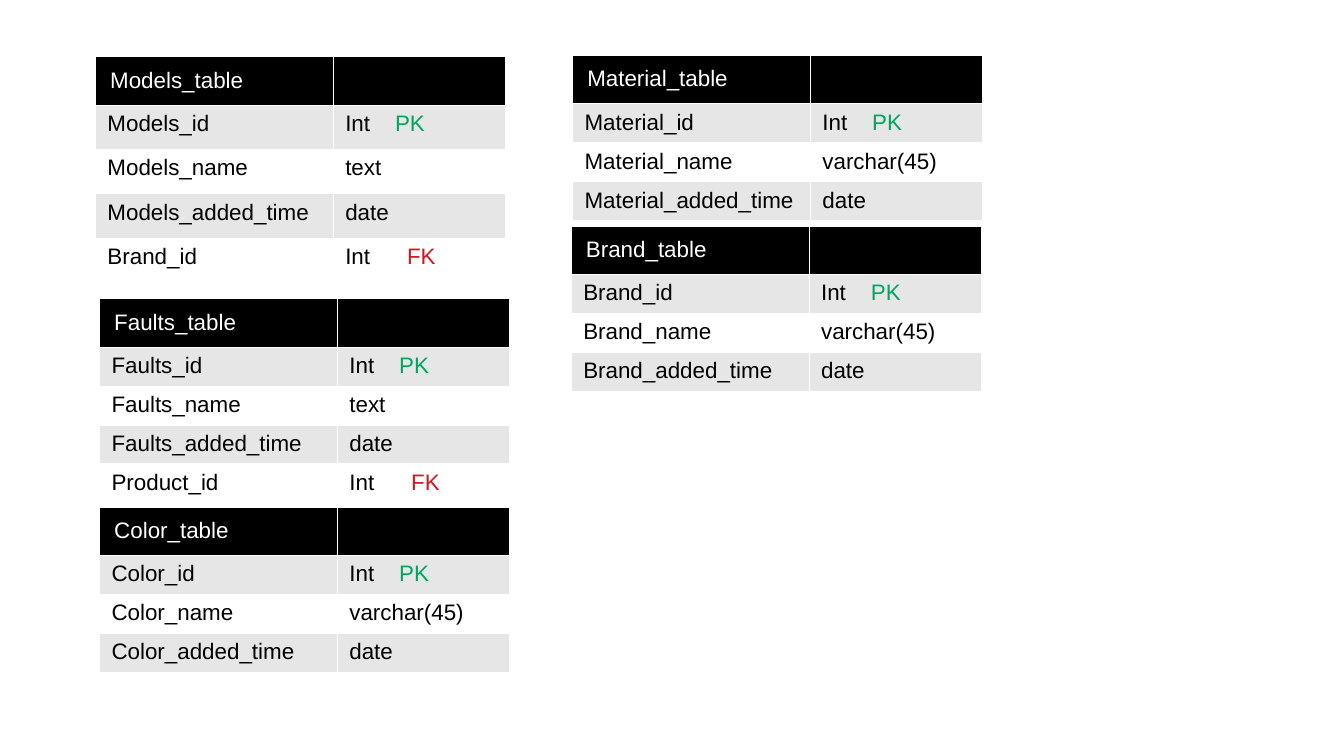
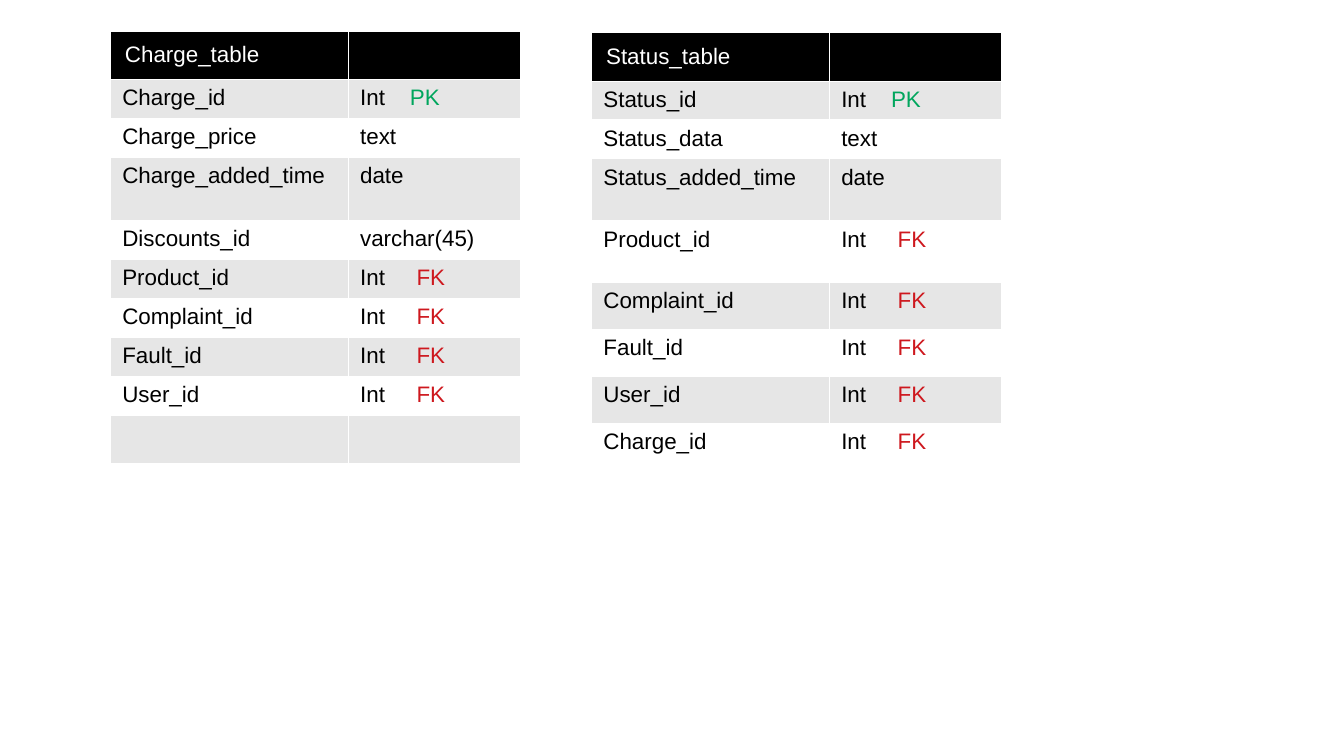
import dataclasses

import lxml.etree
import pptx
import pptx.dml.color
import pptx.enum.text
import pptx.oxml.ns
import pptx.util


@dataclasses.dataclass(frozen=True)
class Theme:
    font: str = "Arial"
    text_size: float = 12
    line_spacing: float = 0.93
    border_width: float = 0.06
    header_fill: str = "000000"
    header_text: str = "FFFFFF"
    body_text: str = "000000"
    band_fills: tuple = ("E6E6E6", "FFFFFF")
    border: str = "FFFFFF"
    key_colors: tuple = (("PK", "00A65D"), ("FK", "CE181E"))


class SchemaDeck:
    GRID_COLUMNS = 100
    COLUMN_WIDTHS = (17.7, 12.8)
    HEADER_HEIGHT = 3.6
    FIELD_HEIGHT = 2.9
    MARGINS = {"left": 0.9, "top": 0.6, "right": 0.9, "bottom": 0.5}
    HEADER_INDENT = 0.2
    PRIMARY_STOP = 3.7

    def __init__(self, theme):
        self.theme = theme
        self.presentation = pptx.Presentation()
        self.presentation.slide_width = pptx.util.Inches(10)
        self.presentation.slide_height = self.presentation.slide_width * 9 // 16
        self.slide = None

    def grid(self, units):
        return pptx.util.Emu(round(self.presentation.slide_width * units / self.GRID_COLUMNS))

    def add_slide(self):
        self.slide = self.presentation.slides.add_slide(self.presentation.slide_layouts[6])

    def add_schema_table(self, left, top, name, fields, foreign_stop=4.6, heights=None):
        heights = heights or {}
        row_heights = [self.HEADER_HEIGHT] + [
            heights.get(index, self.FIELD_HEIGHT) for index in range(1, len(fields) + 1)
        ]
        frame = self.slide.shapes.add_table(
            len(row_heights), len(self.COLUMN_WIDTHS),
            self.grid(left), self.grid(top),
            self.grid(sum(self.COLUMN_WIDTHS)), self.grid(sum(row_heights)),
        )
        table = frame.table
        table.first_row = False
        table.horz_banding = False
        for column, width in zip(table.columns, self.COLUMN_WIDTHS):
            column.width = self.grid(width)
        for row, height in zip(table.rows, row_heights):
            row.height = self.grid(height)

        for index, text in enumerate((name, "")):
            self.fill_cell(table.cell(0, index), text, self.theme.header_fill, self.theme.header_text)
        header = table.cell(0, 0)
        header.vertical_anchor = pptx.enum.text.MSO_ANCHOR.MIDDLE
        properties = header.text_frame.paragraphs[0]._p.get_or_add_pPr()
        properties.set("marL", str(self.grid(self.HEADER_INDENT)))

        stops = {"PK": self.PRIMARY_STOP, "FK": foreign_stop}
        for index, (field, data_type) in enumerate(fields, 1):
            fill = self.theme.band_fills[(index - 1) % 2]
            data_type, _, key = data_type.partition(" ")
            self.fill_cell(table.cell(index, 0), field, fill, self.theme.body_text)
            type_cell = table.cell(index, 1)
            self.fill_cell(type_cell, data_type, fill, self.theme.body_text)
            if key:
                self.add_key(type_cell, key, stops[key])

    def fill_cell(self, cell, text, fill, color):
        for side, margin in self.MARGINS.items():
            setattr(cell, f"margin_{side}", self.grid(margin))
        self.add_borders(cell)
        cell.fill.solid()
        cell.fill.fore_color.rgb = pptx.dml.color.RGBColor.from_string(fill)
        paragraph = cell.text_frame.paragraphs[0]
        paragraph.text = text
        paragraph.line_spacing = self.theme.line_spacing
        for run in paragraph.runs:
            self.format_run(run, color)
        if not text:
            self.add_element(paragraph._p, "a:endParaRPr", sz=round(self.theme.text_size * 100))

    def add_key(self, cell, key, stop):
        paragraph = cell.text_frame.paragraphs[0]
        paragraph.runs[0].text += "\t"
        run = paragraph.add_run()
        run.text = key
        self.format_run(run, dict(self.theme.key_colors)[key])
        tabs = self.add_element(paragraph._p.get_or_add_pPr(), "a:tabLst")
        self.add_element(tabs, "a:tab", pos=self.grid(stop), algn="l")

    def format_run(self, run, color):
        run.font.name = self.theme.font
        run.font.size = pptx.util.Pt(self.theme.text_size)
        run.font.bold = False
        run.font.color.rgb = pptx.dml.color.RGBColor.from_string(color)

    def add_borders(self, cell):
        properties = cell._tc.get_or_add_tcPr()
        for side in "LRTB":
            line = self.add_element(properties, f"a:ln{side}", w=pptx.util.Pt(self.theme.border_width))
            fill = self.add_element(line, "a:solidFill")
            self.add_element(fill, "a:srgbClr", val=self.theme.border)

    def add_element(self, parent, tag, **attributes):
        values = {name: str(value) for name, value in attributes.items()}
        return lxml.etree.SubElement(parent, pptx.oxml.ns.qn(tag), values)


def standard_fields(entity, second="name", second_type="varchar(45)"):
    return [
        (f"{entity}_id", "Int PK"),
        (f"{entity}_{second}", second_type),
        (f"{entity}_added_time", "date"),
    ]


def foreign_keys(*names):
    return [(f"{name}_id", "Int FK") for name in names]


def main():
    deck = SchemaDeck(Theme())
    empty_row = [("", "")]

    deck.add_slide()
    for left, top, entity in ((42.5, 16.8, "Brand"), (7.4, 37.7, "Color")):
        deck.add_schema_table(
            left, top, f"{entity}_table", standard_fields(entity) + empty_row, heights={4: 3.6}
        )
    deck.add_schema_table(
        7.1, 4.2, "Models_table",
        standard_fields("Models", second_type="text") + foreign_keys("Brand"),
        heights=dict.fromkeys(range(1, 5), 3.3),
    )
    deck.add_schema_table(42.6, 4.1, "Material_table", standard_fields("Material"))
    deck.add_schema_table(
        7.4, 22.2, "Faults_table",
        standard_fields("Faults", second_type="text") + foreign_keys("Product"),
    )

    deck.add_slide()
    shared_keys = foreign_keys("Product", "Complaint", "Fault", "User")
    deck.add_schema_table(
        8.2, 2.3, "Charge_table",
        standard_fields("Charge", "price", "text")
        + [("Discounts_id", "varchar(45)")] + shared_keys + empty_row,
        foreign_stop=4.2,
        heights={3: 4.7, 9: 3.6},
    )
    deck.add_schema_table(
        44, 2.4, "Status_table",
        standard_fields("Status", "data", "text") + shared_keys + foreign_keys("Charge"),
        foreign_stop=4.2,
        heights={3: 4.6, 4: 4.6} | dict.fromkeys(range(5, 9), 3.5),
    )

    deck.presentation.save("out.pptx")


if __name__ == "__main__":
    main()
